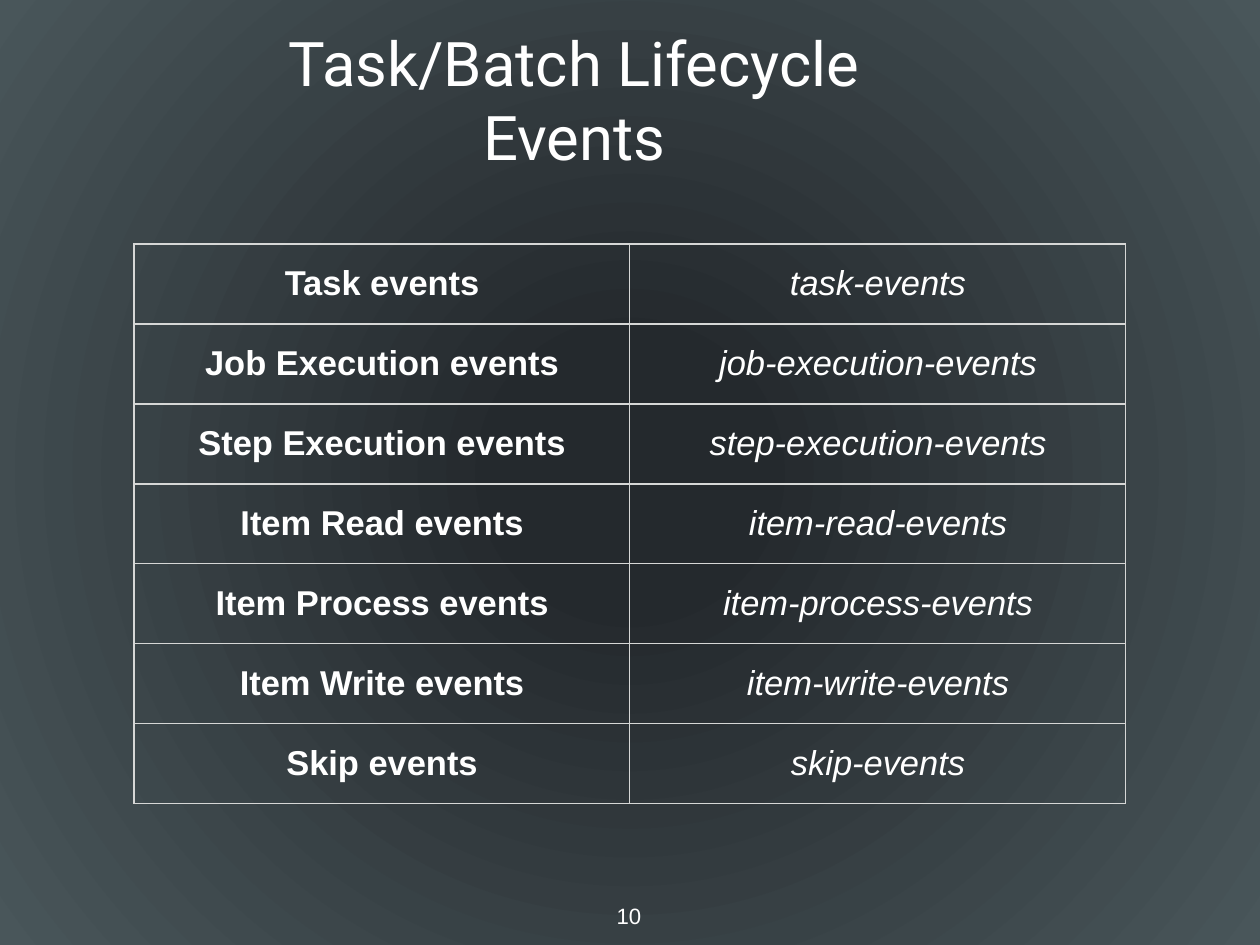
import pptx
import pptx.dml.color
import pptx.enum.text
import pptx.oxml
import pptx.oxml.ns
import pptx.util

TITLE = "Task/Batch Lifecycle Events"
PAGE = "10"
EVENTS = [
    ("Task events", "task-events"),
    ("Job Execution events", "job-execution-events"),
    ("Step Execution events", "step-execution-events"),
    ("Item Read events", "item-read-events"),
    ("Item Process events", "item-process-events"),
    ("Item Write events", "item-write-events"),
    ("Skip events", "skip-events"),
]
COLORS = {"text": "FFFFFF", "border": "D6D7D6", "center": "24292D", "edge": "49565A"}

# Lengths in px
SCALE = 10320
SLIDE_W, SLIDE_H = 1260, 945
TITLE_BOX = (230, 58, 689, 81)
PAGE_BOX = (611, 897, 36, 37)
TABLE_LEFT, TABLE_TOP = 134, 244
COL_W, ROW_H = 496, 80
INSET = 5

ANCHOR = pptx.enum.text.MSO_ANCHOR


def px(n):
    return pptx.util.Emu(n * SCALE)


def rgb(name):
    return pptx.dml.color.RGBColor.from_string(COLORS[name])


def write(tf, text, size, font="Arial", bold=False, italic=False):
    p = tf.paragraphs[0]
    p.alignment = pptx.enum.text.PP_ALIGN.CENTER
    r = p.add_run()
    r.text = text
    r.font.size = pptx.util.Pt(size)
    r.font.name = font
    r.font.bold = bold
    r.font.italic = italic
    r.font.color.rgb = rgb("text")


def set_margins(holder):
    """Give a text frame or a table cell the same inset on all sides."""
    for side in ("left", "right", "top", "bottom"):
        setattr(holder, f"margin_{side}", px(INSET))


def set_borders(cell):
    tcPr = cell._tc.get_or_add_tcPr()
    for i, side in enumerate("LRTB"):
        ln = pptx.oxml.parse_xml(
            f'<a:ln{side} {pptx.oxml.ns.nsdecls("a")} w="{pptx.util.Pt(1)}">'
            f'<a:solidFill><a:srgbClr val="{COLORS["border"]}"/></a:solidFill>'
            f'</a:ln{side}>')
        tcPr.insert(i, ln)


def paint_background(s):
    """Radial gradient, dark in the middle."""
    fill = s.background.fill
    fill.gradient()
    for stop, (position, name) in zip(fill.gradient_stops, [(0.16, "center"), (1, "edge")]):
        stop.position = position
        stop.color.rgb = rgb(name)
    grad = s.element.find(".//" + pptx.oxml.ns.qn("a:gradFill"))
    radial = pptx.oxml.parse_xml(
        f'<a:path {pptx.oxml.ns.nsdecls("a")} path="circle">'
        '<a:fillToRect l="50000" t="50000" r="50000" b="50000"/></a:path>')
    grad.replace(grad.find(pptx.oxml.ns.qn("a:lin")), radial)


def add_title(s):
    sp = s.shapes.title
    sp.left, sp.top, sp.width, sp.height = map(px, TITLE_BOX)
    tf = sp.text_frame
    tf.word_wrap = True
    tf.auto_size = pptx.enum.text.MSO_AUTO_SIZE.NONE
    tf.vertical_anchor = ANCHOR.MIDDLE
    set_margins(tf)
    write(tf, TITLE, 50, font="Roboto")


def add_event_table(s):
    frame = s.shapes.add_table(len(EVENTS), 2, px(TABLE_LEFT), px(TABLE_TOP),
                               px(2 * COL_W), px(len(EVENTS) * ROW_H))
    table = frame.table
    table.first_row = table.horz_banding = False
    for column in table.columns:
        column.width = px(COL_W)
    for row, texts in zip(table.rows, EVENTS):
        row.height = px(ROW_H)
        for col, (cell, text) in enumerate(zip(row.cells, texts)):
            cell.fill.background()
            cell.vertical_anchor = ANCHOR.MIDDLE
            set_margins(cell)
            set_borders(cell)
            write(cell.text_frame, text, 28, bold=col == 0, italic=col == 1)


def add_page_number(s):
    tf = s.shapes.add_textbox(*map(px, PAGE_BOX)).text_frame
    tf.word_wrap = False
    set_margins(tf)
    write(tf, PAGE, 18)


def main():
    prs = pptx.Presentation()
    prs.slide_width, prs.slide_height = px(SLIDE_W), px(SLIDE_H)
    s = prs.slides.add_slide(prs.slide_layouts.get_by_name("Title Only"))
    paint_background(s)
    add_title(s)
    add_event_table(s)
    add_page_number(s)
    prs.save("out.pptx")


if __name__ == "__main__":
    main()
